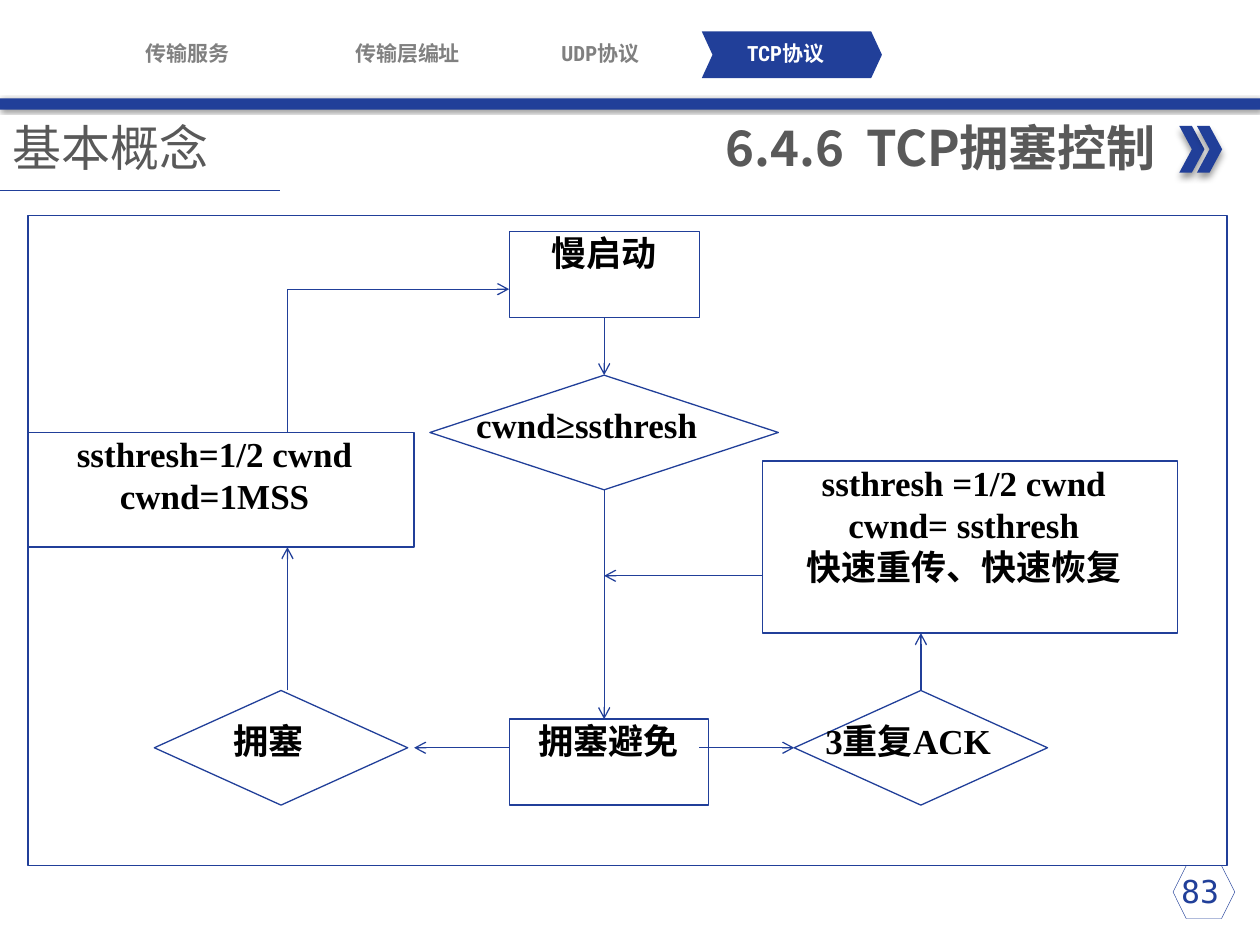
import dataclasses

import lxml.etree
import pptx
import pptx.dml.color
import pptx.enum.shapes
import pptx.enum.text
import pptx.oxml.ns
import pptx.util

BLUE, GREY, DARK = "213F99", "808080", "595959"
SANS, SERIF = "Noto Sans CJK SC", "Times New Roman"
SHAPE = pptx.enum.shapes.MSO_SHAPE
ALIGN = pptx.enum.text.PP_ALIGN
ANCHOR = pptx.enum.text.MSO_ANCHOR
TOP, LEFT, BOTTOM = 0, 1, 2


@dataclasses.dataclass
class Grid:
    """A box in inches, divided into columns and rows."""
    left: float
    top: float
    width: float
    height: float
    columns: float
    rows: float

    def point(self, column, row):
        """Return the position of a grid crossing."""
        return (pptx.util.Inches(self.left + column * self.width / self.columns),
                pptx.util.Inches(self.top + row * self.height / self.rows))

    def place(self, column, row, across, down):
        """Return left, top, width and height of a block of cells."""
        return (*self.point(column, row),
                pptx.util.Inches(across * self.width / self.columns),
                pptx.util.Inches(down * self.height / self.rows))


def color(value):
    """Turn a hex string into a colour."""
    return pptx.dml.color.RGBColor.from_string(value)


def element(parent, tag, **attributes):
    """Append a DrawingML element."""
    return lxml.etree.SubElement(parent, pptx.oxml.ns.qn(tag), attributes)


def add_shadow(shape, blur, distance, angle):
    """Give a shape a soft black shadow."""
    effects = shape._element.spPr.find(pptx.oxml.ns.qn("a:effectLst"))
    outer = element(effects, "a:outerShdw", blurRad=str(pptx.util.Pt(blur)),
                    dist=str(pptx.util.Pt(distance)), dir=str(angle * 60000), rotWithShape="0")
    element(element(outer, "a:srgbClr", val="000000"), "a:alpha", val="40000")


def add_figure(slide, preset, box, fill=None, line=None):
    """Add a preset shape with an optional fill and outline width."""
    shape = slide.shapes.add_shape(preset, *box)
    shape.shadow.inherit = False
    if fill:
        shape.fill.solid()
        shape.fill.fore_color.rgb = color(fill)
    else:
        shape.fill.background()
    if line:
        shape.line.color.rgb = color(BLUE)
        shape.line.width = pptx.util.Pt(line)
    else:
        shape.line.fill.background()
    return shape


def write(shape, lines, size, font, ink, bold=True, align=ALIGN.CENTER,
          anchor=ANCHOR.TOP, insets=(0.1, 0.05, 0.1, 0.05)):
    """Fill a shape with one paragraph per line."""
    frame = shape.text_frame
    frame.word_wrap = True
    frame.vertical_anchor = anchor
    (frame.margin_left, frame.margin_top,
     frame.margin_right, frame.margin_bottom) = map(pptx.util.Inches, insets)
    for index, line in enumerate(lines):
        paragraph = frame.add_paragraph() if index else frame.paragraphs[0]
        paragraph.alignment = align
        run = paragraph.add_run()
        run.text = line
        run.font.size = pptx.util.Pt(size)
        run.font.bold = bold
        run.font.name = font
        run.font.color.rgb = color(ink)
        element(run._r.get_or_add_rPr(), "a:ea", typeface=SANS)


def add_line(slide, start, end, width=0.75, arrow=True):
    """Add a straight connector, with an open arrowhead if wanted."""
    connector = slide.shapes.add_connector(
        pptx.enum.shapes.MSO_CONNECTOR.STRAIGHT, *start, *end)
    connector.line.color.rgb = color(BLUE)
    connector.line.width = pptx.util.Pt(width)
    if arrow:
        element(connector.line._get_or_add_ln(), "a:tailEnd", type="arrow")
    element(connector._element.spPr, "a:effectLst")
    return connector


def add_navigation(slide, grid):
    """Place the chapter tabs and the bar under them."""
    bar = add_figure(slide, SHAPE.RECTANGLE, grid.place(0, 7.8, 100, 0.9), BLUE)
    add_shadow(bar, 2, 1, 45)
    marker = add_figure(slide, SHAPE.CHEVRON, grid.place(55.7, 2.5, 14.3, 3.7), BLUE)
    marker.adjustments[0] = 0.23
    tabs = {"传输服务": 7.6, "传输层编址": 25.1, "UDP协议": 40.4, "TCP协议": 55.1}
    for label, column in tabs.items():
        tab = slide.shapes.add_textbox(*grid.place(column, 3.2, 14.5, 2))
        ink = "FFFFFF" if label == "TCP协议" else GREY
        write(tab, [label], 12, "Roboto Condensed", ink,
              anchor=ANCHOR.MIDDLE, insets=(0, 0, 0, 0))


def add_heading(slide, grid):
    """Place the topic, the section title and its double chevron."""
    for column in (93.6, 95):
        chevron = add_figure(slide, SHAPE.CHEVRON, grid.place(column, 1.2, 2, 3.7), BLUE)
        add_shadow(chevron, 4, 3, 90)
    section = slide.shapes.add_textbox(*grid.place(7.6, 0, 85.1, 5.7))
    write(section, ["6.4.6  TCP拥塞控制"], 28, SANS, DARK, align=ALIGN.RIGHT)
    topic = slide.shapes.add_textbox(*grid.place(0, 0.4, 25.9, 4.9))
    write(topic, ["基本概念"], 28, SANS, DARK, bold=False,
          align=ALIGN.LEFT, anchor=ANCHOR.MIDDLE)
    add_line(slide, grid.point(0, 6.3), grid.point(22.2, 6.3), 0.5, False)


def add_step(slide, box, lines, left_inset=0.1):
    """Add a rectangular step of the flow."""
    step = add_figure(slide, SHAPE.RECTANGLE, box, line=0.75)
    write(step, lines, 20, SERIF, "000000", insets=(left_inset, 0, 0.1, 0))
    return step


def add_decision(slide, grid, column, row, across, label):
    """Add a diamond four rows high with its label in the middle rows."""
    diamond = add_figure(slide, SHAPE.FLOWCHART_DECISION,
                         grid.place(column, row, across, 4), line=0.75)
    caption = slide.shapes.add_textbox(*grid.place(column, row + 1, across * 0.9, 2))
    write(caption, [label], 20, SERIF, "000000", insets=(0.1, 0, 0.1, 0))
    return diamond


def add_flow(slide, grid):
    """Place the congestion control flow chart."""
    slow_start = add_step(slide, grid.place(15, 0, 6, 3), ["慢启动"])
    add_step(slide, grid.place(15, 17, 6.3, 3), ["拥塞避免"])
    threshold = add_decision(slide, grid, 12.5, 5, 11, "cwnd≥ssthresh")
    add_decision(slide, grid, 3.8, 16, 8, "拥塞")
    duplicates = add_decision(slide, grid, 24, 16, 8, "3重复ACK")
    add_step(slide, grid.place(-0.2, 7, 12.2, 4),
             ["ssthresh=1/2 cwnd", "cwnd=1MSS"], 0)
    add_step(slide, grid.place(23, 8, 13.1, 6),
             ["ssthresh =1/2 cwnd", "cwnd= ssthresh", "快速重传、快速恢复"], 0)

    def link(start, end, arrow=True):
        """Join two grid crossings."""
        return add_line(slide, grid.point(*start), grid.point(*end), arrow=arrow)

    to_threshold = link((18, 3), (18, 5))
    to_threshold.begin_connect(slow_start, BOTTOM)
    to_threshold.end_connect(threshold, TOP)
    link((18, 9), (18, 17)).begin_connect(threshold, BOTTOM)
    link((21, 18), (24, 18)).end_connect(duplicates, LEFT)
    link((28, 16), (28, 14)).begin_connect(duplicates, TOP)
    link((23, 12), (18, 12))
    link((15, 18), (12, 18))
    link((8, 16), (8, 11))
    link((8, 7), (8, 2), arrow=False)
    link((8, 2), (15, 2))


def add_page_number(slide, grid):
    """Place the page number in its hexagon."""
    add_figure(slide, SHAPE.HEXAGON, grid.place(2.2, 0, 4.9, 4.2), line=0.25)
    number = slide.shapes.add_textbox(*grid.place(0, 0, 8.7, 4))
    write(number, ["83"], 18, "DejaVu Sans Mono", BLUE, bold=False)


def main():
    """Build and save the slide."""
    deck = pptx.Presentation()
    deck.slide_width, deck.slide_height = pptx.util.Inches(10), pptx.util.Inches(7.5)
    slide = deck.slides.add_slide(deck.slide_layouts[6])
    page = Grid(0, 0, 10, 7.5, 100, 75)
    add_page_number(slide, Grid(9.09, 6.87, 0.87, 0.42, 8.7, 4.2))
    add_navigation(slide, Grid(0, 0, 10, 0.87, 100, 8.7))
    add_heading(slide, Grid(0, 0.88, 10, 0.63, 100, 6.3))
    add_flow(slide, Grid(0.27, 1.84, 9.05, 4.55, 36, 20))
    add_figure(slide, SHAPE.RECTANGLE, page.place(2.2, 17.1, 95.2, 51.6), line=1)
    deck.save("out.pptx")


if __name__ == "__main__":
    main()
